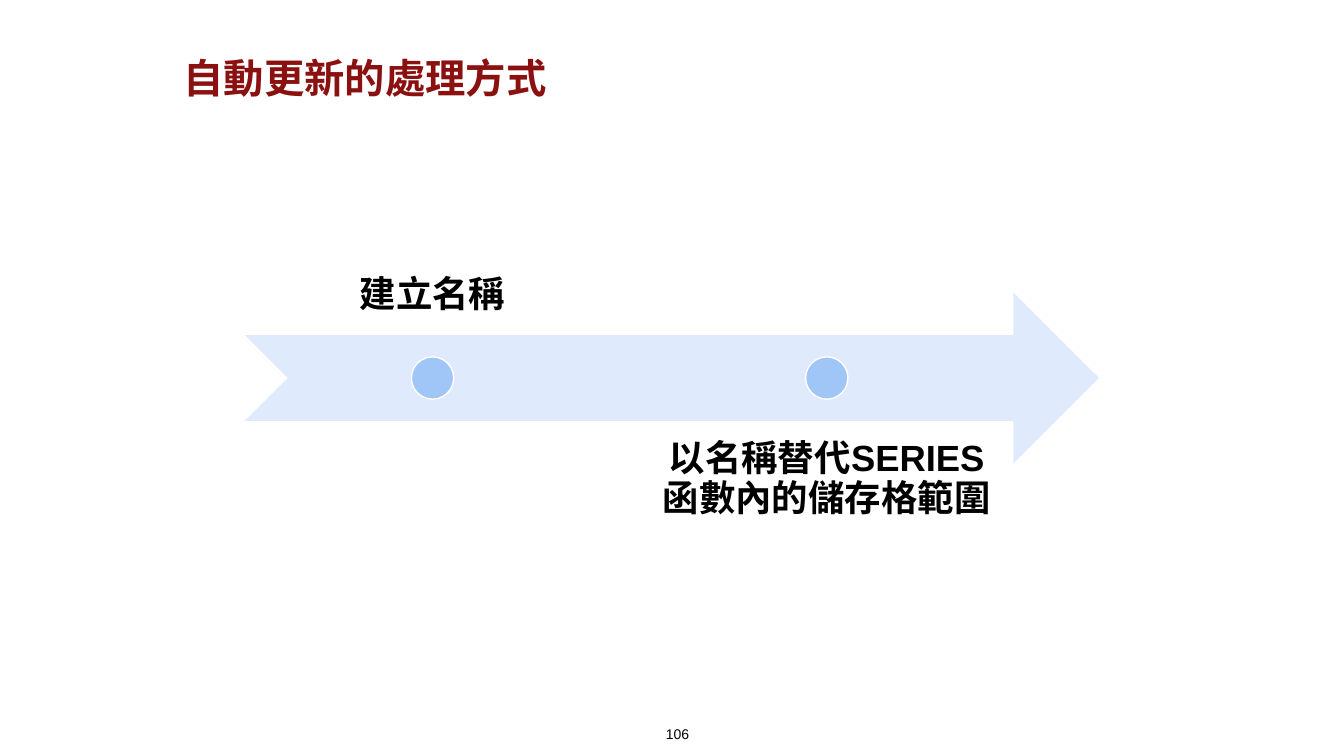
import pptx
import pptx.util
import pptx.dml.color
import pptx.enum.shapes
import pptx.enum.text

Inches = pptx.util.Inches
Color = pptx.dml.color.RGBColor
Shape = pptx.enum.shapes.MSO_SHAPE
Align = pptx.enum.text.PP_ALIGN
Anchor = pptx.enum.text.MSO_ANCHOR

RED = Color(0x8B, 0x11, 0x11)
BLACK = Color(0, 0, 0)
WHITE = Color(0xFF, 0xFF, 0xFF)
PALE = Color(0xDF, 0xEA, 0xFC)
BLUE = Color(0xA0, 0xC6, 0xF8)

STEP_W, STEP_H = 3.72, 1.7
DOT = 0.42
ARROW_TOP = 2.9
# Text, left, top and anchor of each step along the arrow
STEPS = [
    ("建立名稱", 2.43, 1.63, Anchor.BOTTOM),
    ("以名稱替代SERIES函數內的儲存格範圍", 6.34, 4.17, Anchor.TOP),
]


def write(box, text, size, color=BLACK, bold=False, align=Align.CENTER,
          anchor=Anchor.TOP, inset=None, spacing=None):
    frame = box.text_frame
    frame.word_wrap = True
    frame.auto_size = pptx.enum.text.MSO_AUTO_SIZE.NONE
    frame.vertical_anchor = anchor
    if inset is not None:
        frame.margin_left = frame.margin_right = Inches(inset)
        frame.margin_top = frame.margin_bottom = Inches(inset)
    para = frame.paragraphs[0]
    para.alignment = align
    if spacing is not None:
        para.line_spacing = spacing
    run = para.add_run()
    run.text = text
    font = run.font
    font.name = "Arial"
    font.size = pptx.util.Pt(size)
    font.bold = bold
    font.color.rgb = color


def add_title(slide, text):
    title = slide.shapes.title
    title.left, title.top = Inches(1.72), Inches(0.5)
    title.width, title.height = Inches(10.33), Inches(0.53)
    write(title, text, 28.8, color=RED, bold=True, align=Align.LEFT,
          anchor=Anchor.MIDDLE)


def add_label(slide, text, left, top, width, height, size, **style):
    box = slide.shapes.add_textbox(
        Inches(left), Inches(top), Inches(width), Inches(height))
    write(box, text, size, **style)


def add_figure(slide, kind, left, top, width, height, fill, line=None):
    shape = slide.shapes.add_shape(
        kind, Inches(left), Inches(top), Inches(width), Inches(height))
    shape.shadow.inherit = False
    shape.fill.solid()
    shape.fill.fore_color.rgb = fill
    if line is None:
        shape.line.fill.background()
    else:
        shape.line.color.rgb = line
        shape.line.width = pptx.util.Pt(1)


def add_step(slide, text, left, top, anchor):
    """Add a label and the dot centred on it along the arrow."""
    add_label(slide, text, left, top, STEP_W, STEP_H, 26, bold=True,
              anchor=anchor, inset=0.2, spacing=0.9)
    add_figure(slide, Shape.OVAL, left + (STEP_W - DOT) / 2,
               ARROW_TOP + (STEP_H - DOT) / 2, DOT, DOT, BLUE, line=WHITE)


def main():
    deck = pptx.Presentation()
    deck.slide_width, deck.slide_height = Inches(13.33), Inches(7.5)
    slide = deck.slides.add_slide(deck.slide_layouts.get_by_name("Title Only"))
    add_title(slide, "自動更新的處理方式")
    add_figure(slide, Shape.NOTCHED_RIGHT_ARROW, 2.43, ARROW_TOP, 8.47,
               STEP_H, PALE)
    for step in STEPS:
        add_step(slide, *step)
    add_label(slide, "106", 6.11, 7.15, 1.22, 0.29, 10)
    deck.save("out.pptx")


if __name__ == "__main__":
    main()
